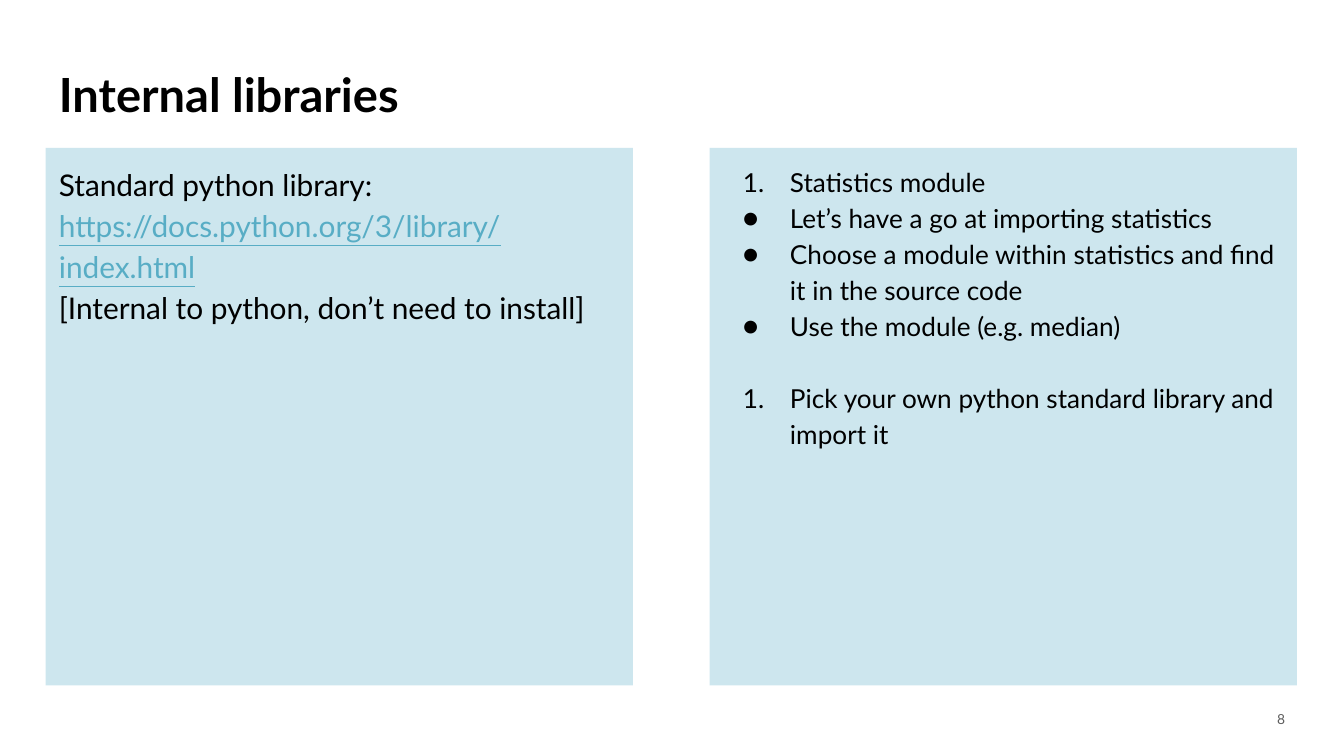
from lxml.etree import SubElement
from pptx import Presentation
from pptx.dml.color import RGBColor
from pptx.enum.shapes import MSO_SHAPE as Shape
from pptx.enum.text import MSO_ANCHOR as Anchor, PP_ALIGN as Align
from pptx.oxml.ns import qn
from pptx.util import Inches, Pt

BLACK = RGBColor(0x00, 0x00, 0x00)
GREY = RGBColor(0x5D, 0x5D, 0x5D)
LINK = RGBColor(0x58, 0xAD, 0xC5)
PANEL = RGBColor(0xCD, 0xE6, 0xEE)

FONT = "Lato"
INSET = 0.1
PAGE_WIDTH = 10
PAGE_HEIGHT = PAGE_WIDTH * 9 / 16
MARGIN = 0.34
PANEL_TOP, PANEL_WIDTH, PANEL_HEIGHT = 1.1, 4.37, 4
PANEL_STEP = 4.94

NUMBER = ("buAutoNum", {"type": "arabicPeriod", "startAt": "1"})
BULLET = ("buChar", {"char": "●"})

LIBRARY = [
    ("Standard python library:", {}),
    ("https://docs.python.org/3/library/index.html", {"color": LINK, "underline": True}),
    ("[Internal to python, don’t need to install]", {}),
]
TASKS = [
    (NUMBER, "Statistics module", 0),
    (BULLET, "Let’s have a go at importing statistics", 0),
    (BULLET, "Choose a module within statistics and find it in the source code", 0),
    (BULLET, "Use the module (e.g. median)", 0),
    (NUMBER, "Pick your own python standard library and import it", 19.3),
]


def prepare_frame(shape, anchor):
    frame = shape.text_frame
    settings = {"word_wrap": True, "vertical_anchor": anchor}
    for side in ("left", "top", "right", "bottom"):
        settings[f"margin_{side}"] = Inches(INSET)
    for name, value in settings.items():
        setattr(frame, name, value)
    return frame


def next_paragraph(frame):
    first = frame.paragraphs[0]
    return frame.add_paragraph() if first.runs else first


def write(frame, text, size, color=BLACK, align=Align.LEFT, spacing=1.0, before=0, **styles):
    para = next_paragraph(frame)
    layout = {"alignment": align, "line_spacing": spacing, "space_before": Pt(before)}
    for name, value in layout.items():
        setattr(para, name, value)
    span = para.add_run()
    span.text = text
    for name, value in {"name": FONT, "size": Pt(size), **styles}.items():
        setattr(span.font, name, value)
    span.font.color.rgb = color
    return para


def add_marker(para, marker):
    tag, attributes = marker
    props = para._p.get_or_add_pPr()
    props.set("marL", str(Inches(0.5)))
    props.set("indent", str(Inches(-0.35)))
    color = SubElement(props, qn("a:buClr"))
    SubElement(color, qn("a:srgbClr"), val=str(BLACK))
    SubElement(props, qn("a:buFont"), typeface=FONT)
    SubElement(props, qn(f"a:{tag}"), attributes)


def add_text(page, box, text, size, **styles):
    label = page.shapes.add_textbox(*map(Inches, box))
    write(prepare_frame(label, Anchor.MIDDLE), text, size, **styles)


def add_panel(page, box):
    panel = page.shapes.add_shape(Shape.RECTANGLE, *map(Inches, box))
    panel.shadow.inherit = False
    panel.fill.solid()
    panel.fill.fore_color.rgb = PANEL
    panel.line.fill.background()
    return prepare_frame(panel, Anchor.TOP)


def add_library_panel(page, box):
    frame = add_panel(page, box)
    for text, styles in LIBRARY:
        write(frame, text, 16, spacing=1.15, **styles)


def add_task_panel(page, box):
    frame = add_panel(page, box)
    for marker, text, before in TASKS:
        para = write(frame, text, 14, spacing=1.15, before=before)
        add_marker(para, marker)


def main():
    deck = Presentation()
    deck.slide_width, deck.slide_height = Inches(PAGE_WIDTH), Inches(PAGE_HEIGHT)
    page = deck.slides.add_slide(deck.slide_layouts[6])
    add_text(page, (MARGIN, 0.38, 8.91, 0.63), "Internal libraries", 25.2, bold=True)
    for column, add_content in enumerate((add_library_panel, add_task_panel)):
        left = MARGIN + column * PANEL_STEP
        add_content(page, (left, PANEL_TOP, PANEL_WIDTH, PANEL_HEIGHT))
    add_text(page, (9.26, 5.21, 0.4, 0.3), "8", 7.4, color=GREY, align=Align.RIGHT, spacing=0.8)
    deck.save("out.pptx")


if __name__ == "__main__":
    main()
